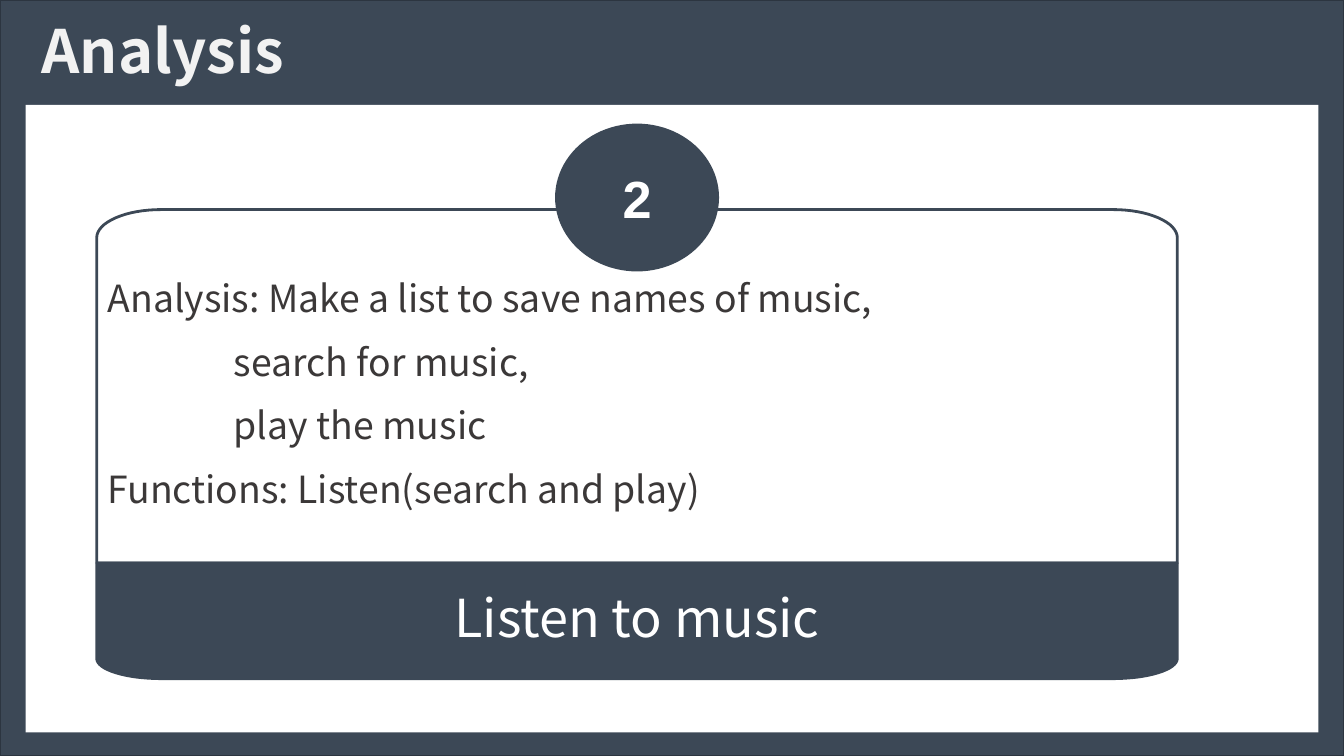
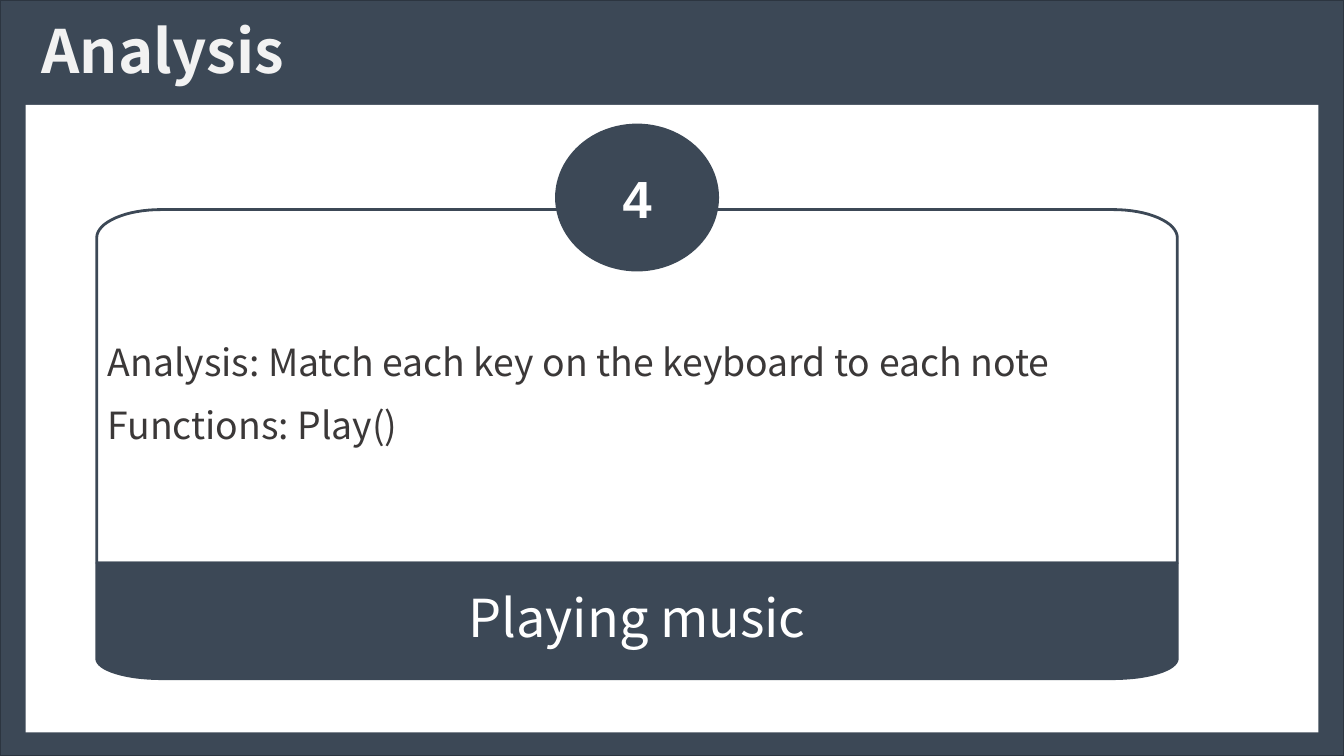
from dataclasses import dataclass, field
from math import cos, pi, sin
from typing import Any

from lxml.etree import SubElement
from pptx import Presentation
from pptx.dml.color import RGBColor
from pptx.enum.shapes import MSO_SHAPE
from pptx.enum.text import MSO_ANCHOR, PP_ALIGN
from pptx.oxml.ns import qn
from pptx.util import Inches, Pt

SLATE, EDGE, WHITE, PALE, INK = "3C4856", "2C3540", "FFFFFF", "F2F2F2", "3B3838"
SANS = "Noto Sans CJK SC"
WIDE = 10
HIGH = WIDE * 9 / 16
LEFT, RIGHT, TOP, SPLIT, BASE = 0.72, 8.76, 1.56, 4.19, 5.05
REACH = 0.48
STEPS = 16


@dataclass
class Style:
    size: float
    color: str
    name: str = SANS
    bold: bool = False
    para: dict[str, Any] = field(default_factory=dict)


@dataclass
class Line:
    text: str
    indent: float = 0


@dataclass
class Card:
    number: str
    lines: list[Line]
    label: str


CENTER = {"alignment": PP_ALIGN.CENTER}
TITLE = Style(32, PALE, bold=True, para={"line_spacing": 0.9})
BODY = Style(20, INK, para={"alignment": PP_ALIGN.LEFT, "line_spacing": Pt(34)})
LABEL = Style(28, WHITE, para={**CENTER, "line_spacing": 0.9})
NUMBER = Style(28, WHITE, "Arial", True, CENTER)

CARDS = [
    Card("2", [
        Line("Analysis: Make a list to save names of music,"),
        Line("search for music,", 0.94),
        Line("play the music", 0.94),
        Line("Functions: Listen(search and play)"),
    ], "Listen to music"),
    Card("4", [
        Line("Analysis: Match each key on the keyboard to each note"),
        Line("Functions: Play()"),
    ], "Playing music"),
]


def rgb(color: str) -> RGBColor:
    return RGBColor.from_string(color)


def apply(target: Any, values: dict[str, Any]) -> None:
    for key, value in values.items():
        setattr(target, key, value)


def paint(shape: Any, fill: str, line: str = "", width: float = 1) -> None:
    shape.shadow.inherit = False
    shape.fill.solid()
    shape.fill.fore_color.rgb = rgb(fill)
    if line:
        shape.line.color.rgb = rgb(line)
        shape.line.width = Pt(width)
    else:
        shape.line.fill.background()


def write(shape: Any, lines: list[Line], style: Style,
          side: float = 0.1, top: float = 0.05, foot: float = 0.05) -> None:
    frame = shape.text_frame
    apply(frame, {
        "word_wrap": True, "vertical_anchor": MSO_ANCHOR.MIDDLE,
        "margin_left": Inches(side), "margin_right": Inches(side),
        "margin_top": Inches(top), "margin_bottom": Inches(foot),
    })
    for i, line in enumerate(lines):
        para = frame.add_paragraph() if i else frame.paragraphs[0]
        apply(para, style.para)
        if line.indent:
            para._p.get_or_add_pPr().set("marL", str(Inches(line.indent)))
        run = para.add_run()
        run.text = line.text
        apply(run.font, {"size": Pt(style.size), "name": style.name, "bold": style.bold})
        run.font.color.rgb = rgb(style.color)


def block(shapes: Any, kind: MSO_SHAPE, at: tuple[float, ...],
          fill: str, line: str = "") -> Any:
    shape = shapes.add_shape(kind, *map(Inches, at))
    paint(shape, fill, line)
    return shape


def panel(shapes: Any, flat: float, bend: float, depth: float, fill: str) -> Any:
    way = 1 if bend > flat else -1
    points = [(LEFT, flat)]
    for side, turn in ((LEFT, -1), (RIGHT, 1)):
        arc = [
            (side - turn * REACH * (1 - cos(a)), bend - way * depth * (1 - sin(a)))
            for a in (pi / 2 * i / STEPS for i in range(STEPS + 1))
        ]
        points += arc if turn < 0 else arc[::-1]
    points.append((RIGHT, flat))
    spots = [(Inches(x), Inches(y)) for x, y in points]
    pen = shapes.build_freeform(*spots[0])
    pen.add_line_segments(spots[1:], close=True)
    shape = pen.convert_to_shape()
    paint(shape, fill, SLATE, 1.5)
    return shape


def fade(shape: Any, share: int) -> None:
    tint = shape._element.spPr.find(qn("a:solidFill"))[0]
    SubElement(tint, qn("a:alpha")).set("val", str(share * 1000))


def base(slide: Any, title: str) -> None:
    block(slide.shapes, MSO_SHAPE.RECTANGLE, (0, 0, WIDE, HIGH), SLATE, EDGE)
    block(slide.shapes, MSO_SHAPE.RECTANGLE, (0.19, 0.78, 9.62, 4.67), WHITE)
    box = slide.shapes.add_textbox(*map(Inches, (0.21, 0.03, 8.62, 0.75)))
    write(box, [Line(title)], TITLE)


def draw(slide: Any, card: Card) -> None:
    shapes = slide.shapes.add_group_shape().shapes
    body = panel(shapes, SPLIT, TOP, 0.21, WHITE)
    fade(body, 90)
    write(body, card.lines, BODY, 0.08, 0, 0.04)
    label = panel(shapes, SPLIT, BASE, 0.15, SLATE)
    write(label, [Line(card.label)], LABEL, 0, 0, 0)
    badge = block(shapes, MSO_SHAPE.OVAL, (4.13, 0.92, 1.22, 1.1), SLATE)
    write(badge, [Line(card.number)], NUMBER)


def main() -> None:
    deck = Presentation()
    apply(deck, {"slide_width": Inches(WIDE), "slide_height": Inches(HIGH)})
    for card in CARDS:
        slide = deck.slides.add_slide(deck.slide_layouts[6])
        base(slide, "Analysis")
        draw(slide, card)
    deck.save("out.pptx")


if __name__ == "__main__":
    main()
